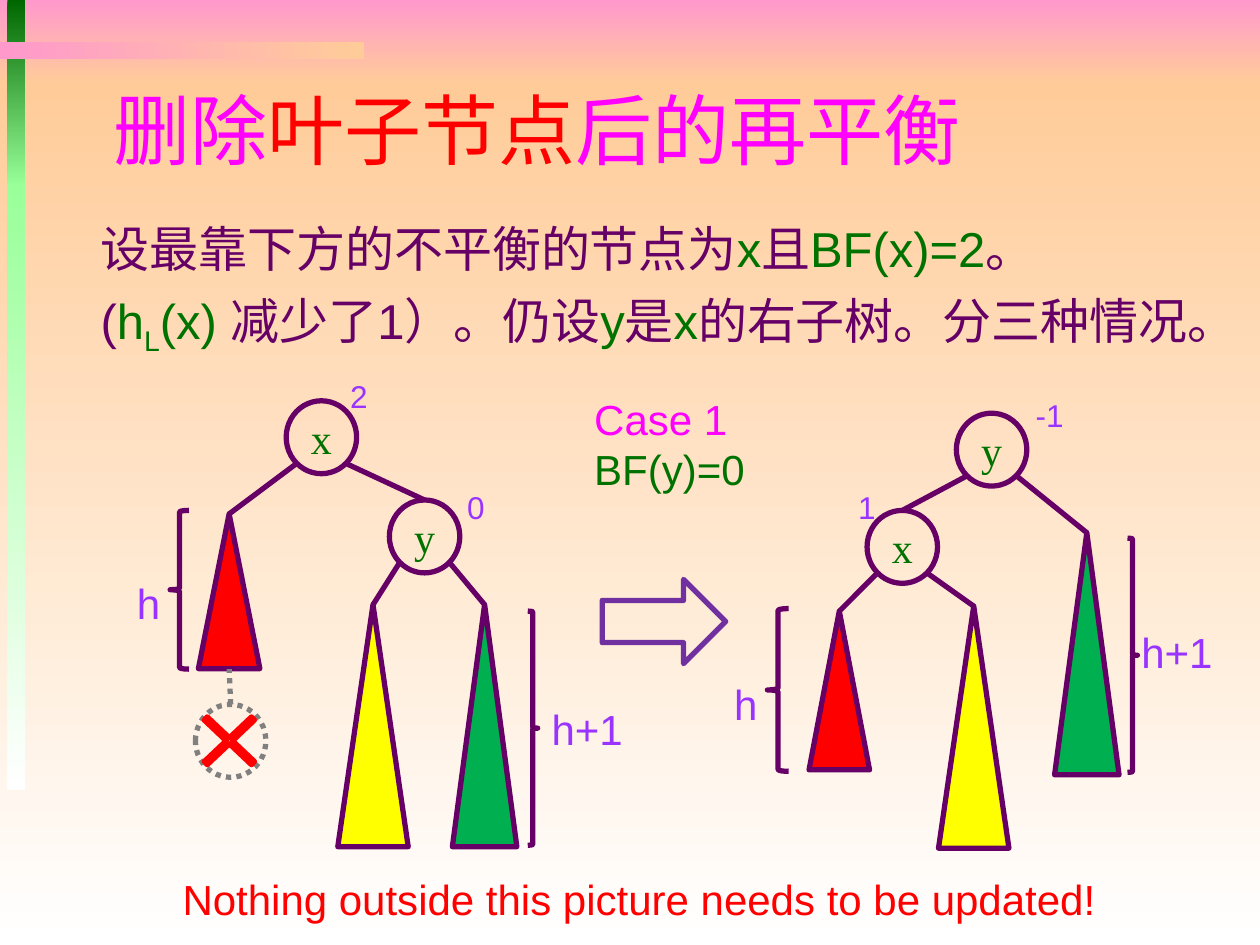
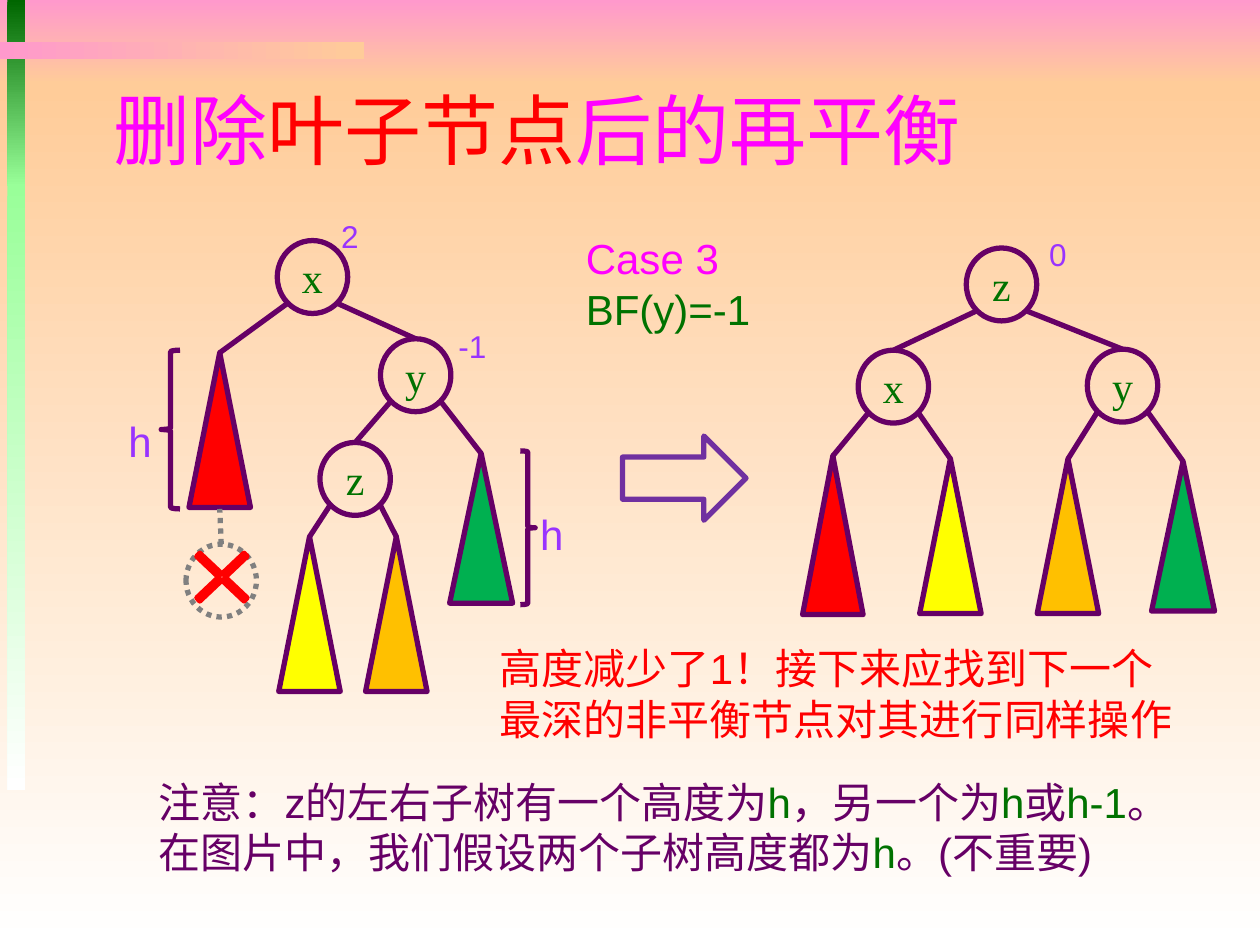
from dataclasses import dataclass
from typing import NamedTuple, Optional, Union

from pptx import Presentation
from pptx.dml.color import RGBColor
from pptx.enum.dml import MSO_LINE
from pptx.enum.shapes import MSO_CONNECTOR, MSO_SHAPE
from pptx.enum.text import MSO_ANCHOR, MSO_AUTO_SIZE, PP_ALIGN
from pptx.oxml.xmlchemy import OxmlElement
from pptx.util import Cm, Pt

RECTANGLE, OVAL = MSO_SHAPE.RECTANGLE, MSO_SHAPE.OVAL
TRIANGLE, ARROW = MSO_SHAPE.ISOSCELES_TRIANGLE, MSO_SHAPE.RIGHT_ARROW
LEFT_BRACE, RIGHT_BRACE = MSO_SHAPE.LEFT_BRACE, MSO_SHAPE.RIGHT_BRACE
CROSS = MSO_SHAPE.MATH_MULTIPLY
STRAIGHT, DOTTED = MSO_CONNECTOR.STRAIGHT, MSO_LINE.ROUND_DOT
LEFT, CENTER = PP_ALIGN.LEFT, PP_ALIGN.CENTER
MIDDLE, NO_AUTOFIT = MSO_ANCHOR.MIDDLE, MSO_AUTO_SIZE.NONE

# Colours
PLUM = RGBColor(0x66, 0x00, 0x66)
GREEN_TEXT = RGBColor(0x00, 0x72, 0x00)
MAGENTA = RGBColor(0xFF, 0x00, 0xFF)
VIOLET = RGBColor(0x99, 0x33, 0xFF)
PURPLE = RGBColor(0x70, 0x30, 0xA0)
RED = RGBColor(0xFF, 0x00, 0x00)
YELLOW = RGBColor(0xFF, 0xFF, 0x00)
ORANGE = RGBColor(0xFF, 0xC0, 0x00)
GREEN = RGBColor(0x00, 0xB0, 0x50)
GRAY = RGBColor(0x80, 0x80, 0x80)
WHITE = RGBColor(0xFF, 0xFF, 0xFF)
PINK = RGBColor(0xFF, 0x99, 0xCC)
PEACH = RGBColor(0xFF, 0xCC, 0x99)
FOREST = RGBColor(0x00, 0x66, 0x00)
MINT = RGBColor(0x99, 0xFF, 0x99)

# Fonts and sizes in centimetres
SANS, SERIF, TITLE_FONT = "Arial", "Times New Roman", "Roboto Condensed"
NODE_WIDTH, NODE_HEIGHT = 1.42, 1.47
SHOULDER_X, SHOULDER_Y = 0.51, 1.27  # where edges leave a node
STROKE = Pt(3)


class Span(NamedTuple):
    text: str
    color: RGBColor
    subscript: bool = False


class Band(NamedTuple):
    left: float
    top: float
    width: float
    height: float
    start: RGBColor
    end: RGBColor
    angle: int = 270


class Balance(NamedTuple):
    """Balance factor, placed relative to the top of its node."""
    text: str
    dx: float
    dy: float


@dataclass
class Subtree:
    x: float
    y: float
    color: RGBColor
    width: float
    height: float


@dataclass
class Node:
    x: float
    y: float
    name: str
    left: Union["Node", Subtree]
    right: Union["Node", Subtree]
    balance: Optional[Balance] = None


@dataclass
class HeightMark:
    brace: MSO_SHAPE
    left: float
    top: float
    width: float
    height: float
    label: str
    label_left: float
    label_top: float


@dataclass
class DeletedLeaf:
    x: float
    y: float
    cross_left: float
    cross_top: float


BANDS = [
    Band(0, 0, 25.4, 1.7, PINK, PEACH),
    Band(0, 1.7, 25.4, 17.35, PEACH, WHITE),
    Band(0.15, 0, 0.36, 3.76, FOREST, MINT),
    Band(0.15, 3.71, 0.36, 12.22, MINT, WHITE),
    Band(0, 0.84, 7.34, 0.36, PINK, PEACH, 0),
]
TITLE = [Span("删除", MAGENTA), Span("叶子节点", RED), Span("后的再平衡", MAGENTA)]


def write(frame, paragraphs: list[list[Span]], size: int, font: str = SANS,
          align=LEFT, line_spacing: Optional[float] = None) -> None:
    frame.word_wrap = True
    for index, spans in enumerate(paragraphs):
        para = frame.add_paragraph() if index else frame.paragraphs[0]
        para.alignment = align
        if line_spacing:
            para.line_spacing = line_spacing
        para.font.size, para.font.name = Pt(size), font
        for span in spans:
            run = para.add_run()
            run.text = span.text
            run.font.color.rgb = span.color
            if span.subscript:
                run._r.get_or_add_rPr().set("baseline", "-25000")


def add_text(slide, left: float, top: float, width: float, height: float,
             paragraphs: list[list[Span]], size: int = 24,
             line_spacing: Optional[float] = None) -> None:
    box = slide.shapes.add_textbox(Cm(left), Cm(top), Cm(width), Cm(height))
    write(box.text_frame, paragraphs, size, line_spacing=line_spacing)


def add_outline(slide, kind, left: float, top: float, width: float, height: float,
                stroke: RGBColor = PLUM, fill: Optional[RGBColor] = None):
    shape = slide.shapes.add_shape(kind, Cm(left), Cm(top), Cm(width), Cm(height))
    shape.shadow.inherit = False
    shape.line.color.rgb, shape.line.width = stroke, STROKE
    if fill is None:
        shape.fill.background()
    else:
        shape.fill.solid()
        shape.fill.fore_color.rgb = fill
    return shape


def add_edge(slide, x1: float, y1: float, x2: float, y2: float, color: RGBColor = PLUM):
    edge = slide.shapes.add_connector(STRAIGHT, Cm(x1), Cm(y1), Cm(x2), Cm(y2))
    edge.line.color.rgb, edge.line.width = color, STROKE
    edge.element.spPr.append(OxmlElement("a:effectLst"))
    return edge


def add_band(slide, band: Band) -> None:
    shape = slide.shapes.add_shape(RECTANGLE, Cm(band.left), Cm(band.top),
                                   Cm(band.width), Cm(band.height))
    shape.shadow.inherit = False
    shape.line.fill.background()
    shape.fill.gradient()
    shape.fill.gradient_angle = band.angle
    for stop, color in zip(shape.fill.gradient_stops, (band.start, band.end)):
        stop.color.rgb = color


def draw_tree(slide, part: Union[Node, Subtree]) -> None:
    """Draw a node and everything below it; x and y give the top centre."""
    if isinstance(part, Subtree):
        add_outline(slide, TRIANGLE, part.x - part.width / 2, part.y,
                    part.width, part.height, fill=part.color)
        return
    circle = add_outline(slide, OVAL, part.x - NODE_WIDTH / 2, part.y, NODE_WIDTH, NODE_HEIGHT)
    frame = circle.text_frame
    frame.margin_left = frame.margin_right = frame.margin_top = frame.margin_bottom = 0
    frame.vertical_anchor = MIDDLE
    write(frame, [[Span(part.name, GREEN_TEXT)]], 24, SERIF, CENTER)
    if part.balance:
        add_text(slide, part.x + part.balance.dx, part.y + part.balance.dy, 1.12, 1.02,
                 [[Span(part.balance.text, VIOLET)]], 18)
    for child, side in ((part.left, -1), (part.right, 1)):
        add_edge(slide, part.x + side * SHOULDER_X, part.y + SHOULDER_Y, child.x, child.y)
        draw_tree(slide, child)


def draw_deleted_leaf(slide, leaf: DeletedLeaf) -> None:
    circle = add_outline(slide, OVAL, leaf.x - NODE_WIDTH / 2, leaf.y,
                         NODE_WIDTH, NODE_HEIGHT, GRAY)
    stem = add_edge(slide, leaf.x, leaf.y, leaf.x - 0.03, leaf.y - 0.71, GRAY)
    circle.line.dash_style = stem.line.dash_style = DOTTED
    cross = add_outline(slide, CROSS, leaf.cross_left, leaf.cross_top, 1.83, 1.73, RED, WHITE)
    cross.adjustments[0] = 0.051


def draw_height(slide, mark: HeightMark) -> None:
    add_outline(slide, mark.brace, mark.left, mark.top, mark.width, mark.height)
    add_text(slide, mark.label_left, mark.label_top, 2.08, 1.27, [[Span(mark.label, VIOLET)]])


def add_case(prs, case: str, condition: str, case_at: tuple[float, float],
             arrow_at: tuple[float, float], trees: list[Node],
             leaf: DeletedLeaf, heights: list[HeightMark]):
    slide = prs.slides.add_slide(prs.slide_layouts[5])
    for band in BANDS:
        add_band(slide, band)

    # Title, brought in front of the bands
    title = slide.shapes.title
    title.element.getparent().append(title.element)
    title.left, title.top, title.width, title.height = Cm(2.03), Cm(1.45), Cm(21.59), Cm(2.29)
    title.text_frame.vertical_anchor = MIDDLE
    title.text_frame.auto_size = NO_AUTOFIT
    write(title.text_frame, [TITLE], 44, TITLE_FONT)

    # Trees before and after the rotation
    for tree in trees:
        draw_tree(slide, tree)
    for mark in heights:
        draw_height(slide, mark)
    draw_deleted_leaf(slide, leaf)
    add_outline(slide, ARROW, *arrow_at, 2.49, 1.7, PURPLE)
    add_text(slide, *case_at, 4.01, 2.31, [[Span(case, MAGENTA)], [Span(condition, GREEN_TEXT)]])
    return slide


def build_case_1(prs) -> None:
    before = Node(
        6.48, 8.08, "x", Subtree(4.62, 10.36, RED, 1.24, 3.12),
        Node(8.56, 10.08, "y", Subtree(7.52, 12.19, YELLOW, 1.42, 4.88),
             Subtree(9.77, 12.19, GREEN, 1.3, 4.88), Balance("0", 0.61, -0.37)),
        Balance("2", 0.33, -0.6))
    after = Node(
        19.99, 8.33, "y",
        Node(18.19, 10.29, "x", Subtree(16.92, 12.32, RED, 1.22, 3.2),
             Subtree(19.63, 12.22, YELLOW, 1.42, 4.88), Balance("1", -1.14, -0.58)),
        Subtree(21.91, 10.74, GREEN, 1.3, 4.88), Balance("-1", 0.64, -0.48))
    heights = [
        HeightMark(LEFT_BRACE, 3.43, 10.29, 0.38, 3.2, "h", 2.51, 11.51),
        HeightMark(RIGHT_BRACE, 10.64, 12.32, 0.2, 4.72, "h+1", 10.87, 14.05),
        HeightMark(LEFT_BRACE, 15.47, 12.27, 0.43, 3.28, "h", 14.55, 13.56),
        HeightMark(RIGHT_BRACE, 22.73, 10.85, 0.2, 4.72, "h+1", 22.76, 12.5),
    ]
    slide = add_case(prs, "Case 1", "BF(y)=0", (11.73, 7.8), (12.14, 11.68), [before, after],
                     DeletedLeaf(4.65, 14.2, 3.71, 14.07), heights)
    add_text(slide, 1.78, 4.04, 23.62, 3.53, [
        [Span("设最靠下方的不平衡的节点为", PLUM), Span("x", GREEN_TEXT), Span("且", PLUM),
         Span("BF(x)=2", GREEN_TEXT), Span("。", PLUM)],
        [Span("(", PLUM), Span("h", GREEN_TEXT), Span("L", GREEN_TEXT, True),
         Span("(x) ", GREEN_TEXT), Span("减少了1）。仍设", PLUM), Span("y", GREEN_TEXT),
         Span("是", PLUM), Span("x", GREEN_TEXT), Span("的右子树。分三种情况。", PLUM)],
    ], 28, 1.2)
    add_text(slide, 3.43, 17.48, 19.69, 1.27,
             [[Span("Nothing outside this picture needs to be updated!", RED)]])


def build_case_3(prs) -> None:
    before = Node(
        6.3, 4.85, "x", Subtree(4.43, 7.11, RED, 1.24, 3.12),
        Node(8.38, 6.83, "y",
             Node(7.16, 8.92, "z", Subtree(6.24, 10.82, YELLOW, 1.24, 3.12),
                  Subtree(7.99, 10.82, ORANGE, 1.24, 3.12)),
             Subtree(9.7, 9.14, GREEN, 1.27, 3.02), Balance("-1", 0.61, -0.37)),
        Balance("2", 0.33, -0.6))
    after = Node(
        20.19, 5, "z",
        Node(18.01, 7.06, "x", Subtree(16.79, 9.19, RED, 1.22, 3.2),
             Subtree(19.16, 9.25, YELLOW, 1.24, 3.12)),
        Node(22.63, 7.04, "y", Subtree(21.53, 9.25, ORANGE, 1.24, 3.12),
             Subtree(23.85, 9.3, GREEN, 1.27, 3.02)),
        Balance("0", 0.71, -0.38))
    heights = [
        HeightMark(LEFT_BRACE, 3.25, 7.06, 0.38, 3.2, "h", 2.34, 8.26),
        HeightMark(RIGHT_BRACE, 10.49, 9.09, 0.3, 3.1, "h", 10.64, 10.13),
    ]
    slide = add_case(prs, "Case 3", "BF(y)=-1", (11.56, 4.57), (12.55, 8.79), [before, after],
                     DeletedLeaf(4.46, 10.97, 3.56, 10.77), heights)
    add_text(slide, 9.83, 12.83, 14.1, 2.31,
             [[Span("高度减少了1！接下来应找到下一个最深的非平衡节点对其进行同样操作", RED)]])
    add_text(slide, 2.95, 15.52, 21.01, 2.31, [
        [Span("注意：z的左右子树有一个高度为", PLUM), Span("h", GREEN_TEXT), Span("，另一个为", PLUM),
         Span("h", GREEN_TEXT), Span("或", PLUM), Span("h-1", GREEN_TEXT), Span("。", PLUM)],
        [Span("在图片中，我们假设两个子树高度都为", PLUM), Span("h", GREEN_TEXT),
         Span("。(不重要)", PLUM)],
    ])


def main() -> None:
    prs = Presentation()
    prs.slide_width, prs.slide_height = Cm(25.4), Cm(19.05)
    build_case_1(prs)
    build_case_3(prs)
    prs.save("out.pptx")


if __name__ == "__main__":
    main()
